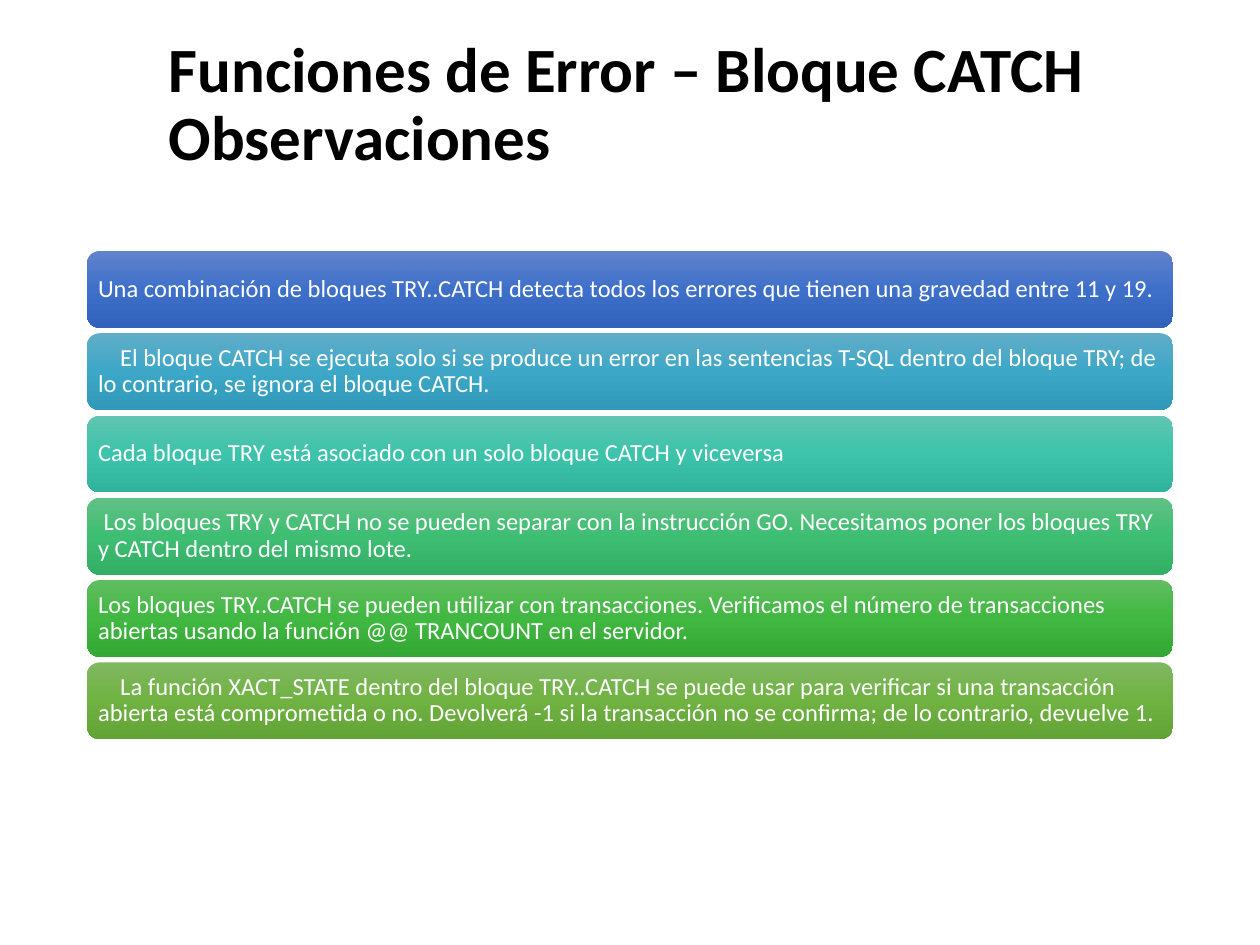
from copy import deepcopy

from pptx import Presentation
from pptx.dml.color import RGBColor
from pptx.enum.shapes import MSO_SHAPE
from pptx.enum.text import MSO_ANCHOR, PP_ALIGN
from pptx.oxml.ns import qn
from pptx.util import Pt

ROUNDED = MSO_SHAPE.ROUNDED_RECTANGLE
MIDDLE = MSO_ANCHOR.MIDDLE
LEFT = PP_ALIGN.LEFT

COLORS = {
    "title": "000000",
    "bar_text": "FFFFFF",
    "blue": ("6183CB", "3E70CA", "3062BB"),
    "cyan": ("61ADC8", "3DA7C7", "3098B8"),
    "teal": ("60C5B1", "3DC3AB", "30B39C"),
    "mint": ("60C184", "3EBE73", "32AE65"),
    "green": ("61BD61", "40B841", "34A835"),
    "olive": ("81B861", "6FB242", "62A336"),
}

TITLE = "Funciones de Error – Bloque CATCH\vObservaciones"
REMARKS = [
    ("blue", 0, "Una combinación de bloques TRY..CATCH detecta todos los errores que tienen una gravedad entre 11 y 19."),
    ("cyan", 12.7, "El bloque CATCH se ejecuta solo si se produce un error en las sentencias T-SQL dentro del bloque TRY; "
     "de lo contrario, se ignora el bloque CATCH."),
    ("teal", 0, "Cada bloque TRY está asociado con un solo bloque CATCH y viceversa"),
    ("mint", 3.2, "Los bloques TRY y CATCH no se pueden separar con la instrucción GO. "
     "Necesitamos poner los bloques TRY y CATCH dentro del mismo lote."),
    ("green", 0, "Los bloques TRY..CATCH se pueden utilizar con transacciones. Verificamos el número de transacciones "
     "abiertas usando la función @@ TRANCOUNT en el servidor."),
    ("olive", 12.7, "La función XACT_STATE dentro del bloque TRY..CATCH se puede usar para verificar si una transacción "
     "abierta está comprometida o no. Devolverá -1 si la transacción no se confirma; de lo contrario, devuelve 1."),
]


def write_text(shape, text, *, size, color, bold=False, indent=0, inset=(7.2, 3.6)):
    """Write one left-aligned, vertically centred paragraph into a shape."""
    frame = shape.text_frame
    frame.word_wrap = True
    frame.vertical_anchor = MIDDLE
    frame.margin_left = frame.margin_right = Pt(inset[0])
    frame.margin_top = frame.margin_bottom = Pt(inset[1])
    paragraph = frame.paragraphs[0]
    paragraph.text = text
    paragraph.alignment = LEFT
    paragraph.line_spacing = 0.9
    if indent:
        paragraph._p.get_or_add_pPr().set("indent", str(Pt(indent)))
    for run in paragraph.runs:
        run.font.name = "Calibri"
        run.font.size = Pt(size)
        run.font.bold = bold
        run.font.color.rgb = RGBColor.from_string(color)


def fill_gradient(shape, colors):
    """Fill a shape with evenly spaced colours from top to bottom."""
    shape.fill.gradient()
    shape.fill.gradient_angle = 270
    stop_list = shape._element.spPr.find(".//" + qn("a:gsLst"))
    stop_list.insert(1, deepcopy(stop_list[0]))
    for index, (stop, color) in enumerate(zip(shape.fill.gradient_stops, colors)):
        stop.color.rgb = RGBColor.from_string(color)
        stop.position = index / (len(colors) - 1)


def add_title(slide, left, top, width, height):
    """Place the slide title in the given box."""
    box = slide.shapes.add_textbox(Pt(left), Pt(top), Pt(width), Pt(height))
    write_text(box, TITLE, size=36, color=COLORS["title"], bold=True)


def add_remarks(slide, left, top, width, height, gap=3.1):
    """Stack the remark bars with equal gaps in the given box."""
    bar_height = (height - gap * (len(REMARKS) - 1)) / len(REMARKS)
    for row, (color, indent, text) in enumerate(REMARKS):
        bar_top = top + row * (bar_height + gap)
        bar = slide.shapes.add_shape(ROUNDED, Pt(left), Pt(bar_top), Pt(width), Pt(bar_height))
        bar.shadow.inherit = False
        bar.line.fill.background()
        fill_gradient(bar, COLORS[color])
        write_text(bar, text, size=14, color=COLORS["bar_text"], indent=indent, inset=(4.2, 4.2))


def main():
    """Build and save the presentation."""
    presentation = Presentation()
    presentation.slide_width = Pt(720)
    presentation.slide_height = Pt(540)
    slide = presentation.slides.add_slide(presentation.slide_layouts[6])
    add_title(slide, 89.3, 16.6, 561.6, 88.6)
    add_remarks(slide, 49.7, 143.4, 620.6, 279)
    presentation.save("out.pptx")


if __name__ == "__main__":
    main()
